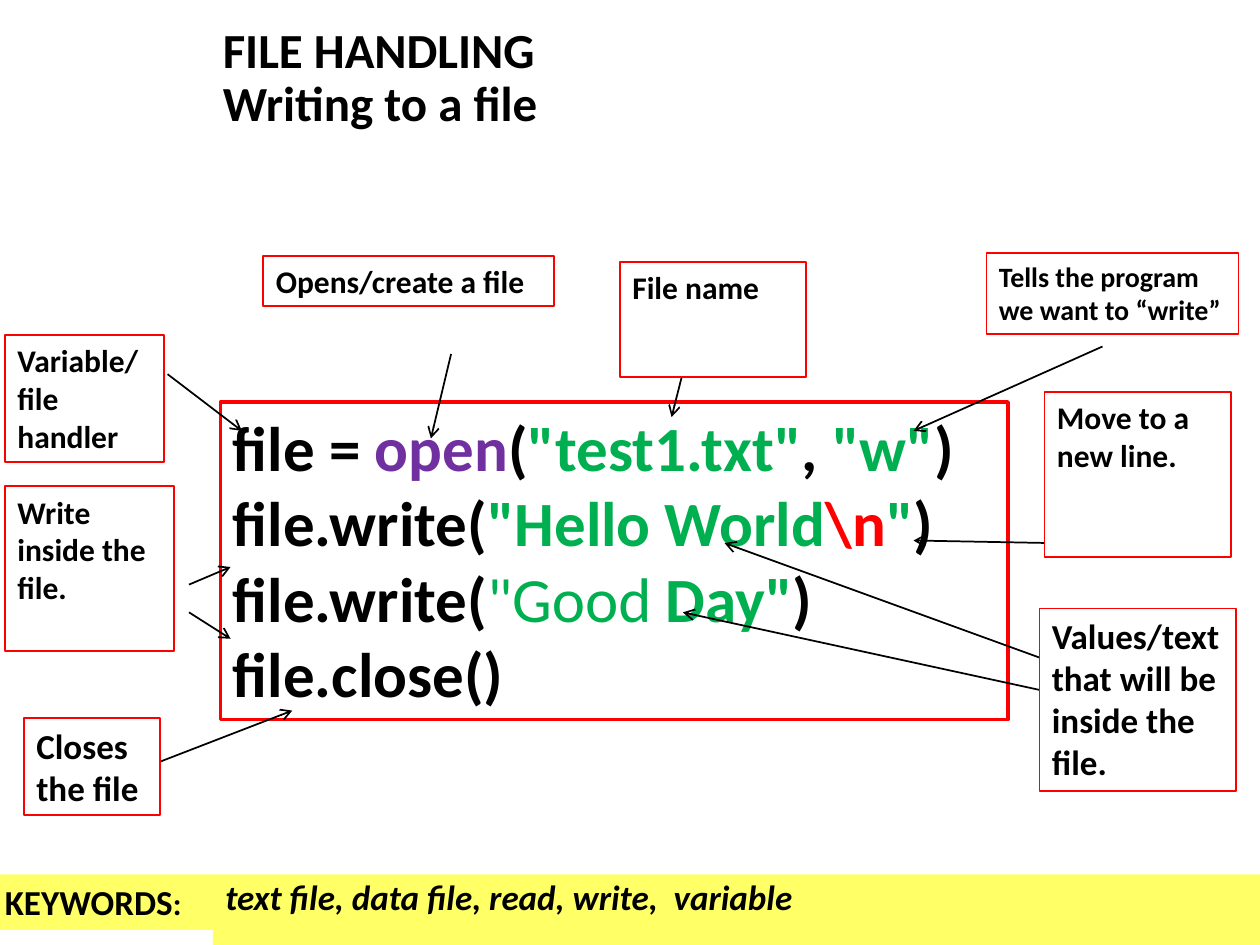
from pptx import Presentation
from pptx.dml.color import RGBColor
from pptx.enum.shapes import MSO_CONNECTOR, MSO_SHAPE
from pptx.enum.text import MSO_ANCHOR, PP_ALIGN
from pptx.oxml.ns import qn
from pptx.util import Inches, Pt
from lxml.etree import SubElement

BLACK = RGBColor(0x00, 0x00, 0x00)
WHITE = RGBColor(0xFF, 0xFF, 0xFF)
RED = RGBColor(0xFF, 0x00, 0x00)
YELLOW = RGBColor(0xFF, 0xFF, 0x66)
PURPLE = RGBColor(0x70, 0x30, 0xA0)
GREEN = RGBColor(0x00, 0xB0, 0x50)


def set_font(font, size, color=BLACK, bold=True, italic=False):
    font.name = "Calibri"
    font.size = Pt(size)
    font.color.rgb = color
    font.bold = bold
    font.italic = italic


def add_box(frame, fill, line_width=0):
    box = page.shapes.add_shape(MSO_SHAPE.RECTANGLE, *map(Inches, frame))
    box.shadow.inherit = False
    box.fill.solid()
    box.fill.fore_color.rgb = fill
    if line_width:
        box.line.color.rgb = RED
        box.line.width = Pt(line_width)
    else:
        box.line.fill.background()
    box.text_frame.word_wrap = True
    box.text_frame.vertical_anchor = MSO_ANCHOR.TOP
    box.text_frame.paragraphs[0].alignment = PP_ALIGN.LEFT
    return box


deck = Presentation()
deck.slide_width = Inches(10)
deck.slide_height = Inches(7.5)
page = deck.slides.add_slide(deck.slide_layouts[6])

keyword_label = add_box((-0.06, 6.94, 1.75, 0.44), YELLOW)
para = keyword_label.text_frame.paragraphs[0]
for text, size in [("KEYWORDS", 20), (":", 18)]:
    span = para.add_run()
    span.text = text
    set_font(span.font, size)

title = page.shapes.add_textbox(Inches(1.67), Inches(0), Inches(6.73), Inches(1.25))
title.text_frame.word_wrap = True
title.text_frame.vertical_anchor = MSO_ANCHOR.MIDDLE
para = title.text_frame.paragraphs[0]
para.text = "FILE HANDLING\vWriting to a file"
para.line_spacing = 0.9
set_font(para.font, 28)

keyword_list = add_box((1.69, 6.94, 8.31, 0.56), YELLOW)
para = keyword_list.text_frame.paragraphs[0]
para.text = "text file, data file, read, write,  variable"
para.line_spacing = 0.9
set_font(para.font, 20, italic=True)

code_lines = [
    [("file = ", BLACK, True), ("open", PURPLE, True), ("(", BLACK, True),
     ('"test1.txt"', GREEN, True), (",", BLACK, True), (' "w"', GREEN, True),
     (")", BLACK, True)],
    [("file.write(", BLACK, True), ('"Hello World', GREEN, True),
     ("\\n", RED, True), ('"', GREEN, True), (")", BLACK, True)],
    [("file.write(", BLACK, True), ('"Good ', GREEN, False),
     ('Day"', GREEN, True), (")", BLACK, True)],
    [("file.close()", BLACK, True)],
]
code_box = add_box((1.75, 3.19, 6.25, 2.52), WHITE, 2)
for index, code_line in enumerate(code_lines):
    frame = code_box.text_frame
    para = frame.add_paragraph() if index else frame.paragraphs[0]
    para.alignment = PP_ALIGN.LEFT
    for text, color, bold in code_line:
        span = para.add_run()
        span.text = text
        set_font(span.font, 36, color, bold)

arrows = [
    (1.33, 2.97, 1.92, 3.42),
    (8.75, 2.75, 7.25, 3.42),
    (5.5, 2.64, 5.33, 3.31),
    (8.33, 4.31, 7.25, 4.29),
    (8.5, 5.31, 5.75, 4.31),
    (8.5, 5.53, 5.42, 4.86),
    (3.58, 2.81, 3.42, 3.48),
    (1.5, 4.64, 1.83, 4.5),
    (1.5, 4.86, 1.83, 5.07),
    (1.18, 6.08, 2.32, 5.64),
]
for ends in arrows:
    arrow = page.shapes.add_connector(MSO_CONNECTOR.STRAIGHT, *map(Inches, ends))
    arrow.line.color.rgb = BLACK
    arrow.line.width = Pt(1)
    SubElement(arrow.line._get_or_add_ln(), qn("a:tailEnd"), type="arrow")
    SubElement(arrow._element.spPr, qn("a:effectLst"))

callouts = [
    ("Variable/file handler", 18, (0.04, 2.66, 1.26, 1.01)),
    ("Opens/create a file", 18, (2.09, 2.03, 2.31, 0.4)),
    ("File name", 18, (4.92, 2.08, 1.48, 0.91)),
    ("Tells the program we want to “write”", 16, (7.83, 2.01, 2, 0.64)),
    ("Values/text that will be inside the file.", 20, (8.25, 4.83, 1.56, 1.45)),
    ("Move to a new line.", 18, (8.29, 3.11, 1.48, 1.31)),
    ("Write inside the file.", 18, (0.04, 3.86, 1.34, 1.31)),
    ("Closes the file", 20, (0.19, 5.7, 1.08, 0.77)),
]
for text, size, frame in callouts:
    callout = add_box(frame, WHITE, 1)
    para = callout.text_frame.paragraphs[0]
    para.text = text
    set_font(para.font, size)

deck.save("out.pptx")
